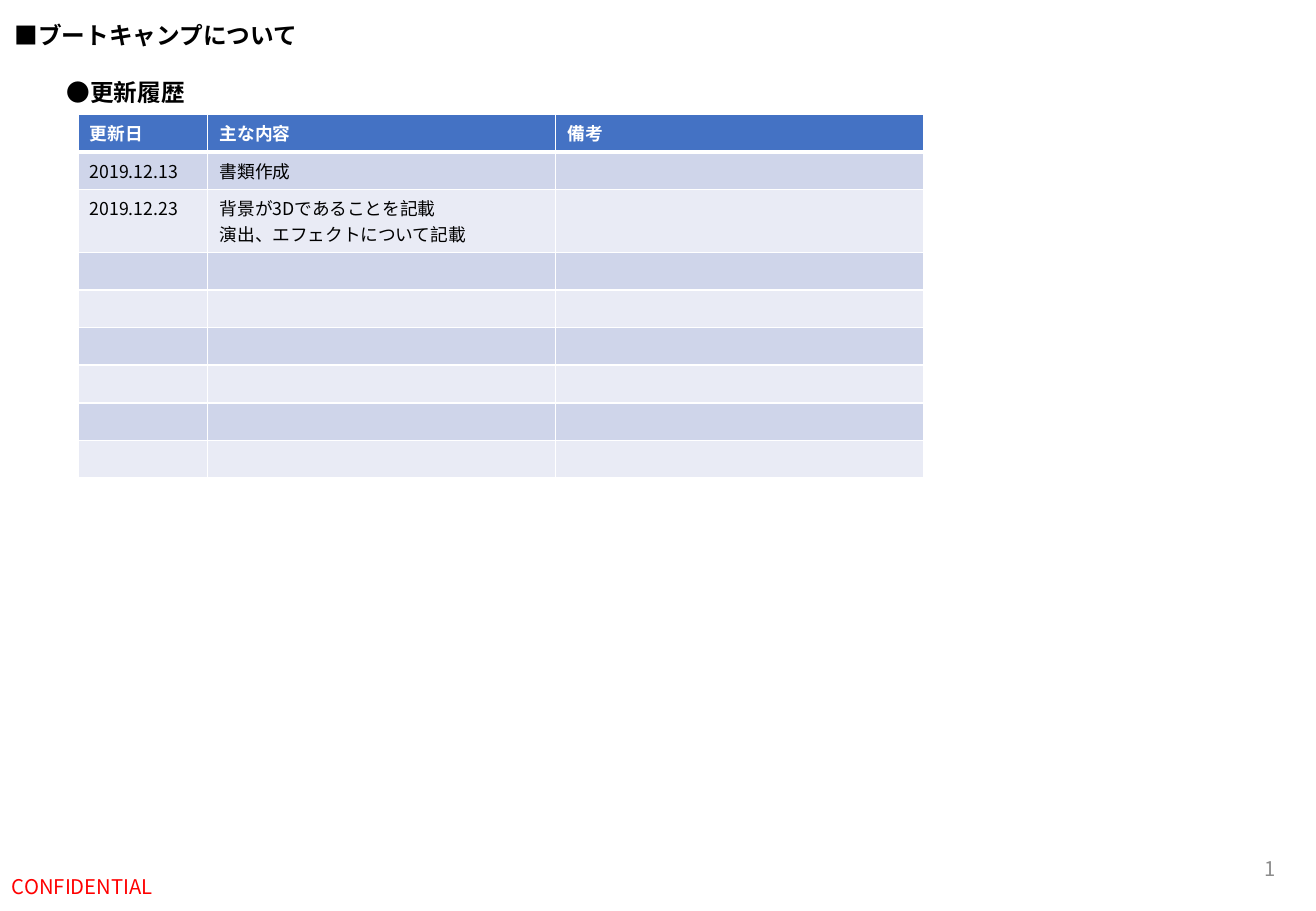
"""Build the boot camp update history slide."""
from lxml.etree import SubElement
from pptx import Presentation
from pptx.dml.color import RGBColor as RGB
from pptx.enum.text import MSO_ANCHOR as ANCHOR, MSO_AUTO_SIZE as AUTO, PP_ALIGN as ALIGN
from pptx.oxml.ns import qn
from pptx.util import Inches, Pt

THEME = {
    "font": "Noto Sans CJK JP",
    "heading": {"size": 14, "bold": True, "color": "000000"},
    "head": {"size": 10.5, "bold": True, "color": "FFFFFF"},
    "body": {"size": 10.5, "bold": False, "color": "000000"},
    "number": {"size": 12, "bold": False, "color": "8C8C8C"},
    "notice": {"size": 12, "bold": False, "color": "FF0000"},
    "head_fill": "4472C4",
    "bands": ("E9EBF5", "CFD5EA"),
    "border": "FFFFFF",
}

prs = Presentation()
prs.slide_width, prs.slide_height = Inches(10.83), Inches(7.5)
s = prs.slides.add_slide(prs.slide_layouts[5])


def share(left, top, width, height):
    """Turn percentages of the slide into lengths."""
    w, h = prs.slide_width, prs.slide_height
    return [round(v * full / 100) for v, full in zip((left, top, width, height), (w, h, w, h))]


def write(p, text, style):
    """Add a run to a paragraph in a theme style."""
    r = p.add_run()
    r.text = text
    fmt = THEME[style]
    for name, value in {"size": Pt(fmt["size"]), "bold": fmt["bold"], "name": THEME["font"]}.items():
        setattr(r.font, name, value)
    r.font.color.rgb = RGB.from_string(fmt["color"])
    SubElement(r.font._element, qn("a:ea"), typeface=THEME["font"])
    return r


ROWS = [
    ("更新日", "主な内容", "備考"),
    ("2019.12.13", "書類作成", ""),
    ("2019.12.23", "背景が3Dであることを記載\n演出、エフェクトについて記載", ""),
] + [("", "", "")] * 6
COL_SHARES = (9.88, 26.41, 27.98)
ROW_SHARE, TALL_ROW_SHARE = 4.13, 6.93
row_shares = [TALL_ROW_SHARE if any("\n" in t for t in row) else ROW_SHARE for row in ROWS]

frame = s.shapes.add_table(len(ROWS), len(COL_SHARES),
                           *share(5.91, 12.53, sum(COL_SHARES), sum(row_shares)))
table = frame.table
for col, width in zip(table.columns, COL_SHARES):
    col.width = share(0, 0, width, 0)[2]
for i, (row, texts) in enumerate(zip(table.rows, ROWS)):
    row.height = share(0, 0, 0, row_shares[i])[3]
    style = "body" if i else "head"
    widths = {"L": 1, "R": 1, "T": 3 if i == 1 else 1, "B": 1 if i else 3}
    for cell, text in zip(row.cells, texts):
        for side, points in widths.items():
            ln = SubElement(cell._tc.get_or_add_tcPr(), qn(f"a:ln{side}"), w=str(Pt(points)))
            SubElement(SubElement(ln, qn("a:solidFill")), qn("a:srgbClr"), val=THEME["border"])
        cell.fill.solid()
        cell.fill.fore_color.rgb = RGB.from_string(THEME["bands"][i % 2] if i else THEME["head_fill"])
        tf = cell.text_frame
        for j, line in enumerate(text.split("\n")):
            p = tf.add_paragraph() if j else tf.paragraphs[0]
            if line:
                write(p, line, style)
            else:
                SubElement(p._p, qn("a:endParaRPr"), sz=str(Pt(THEME[style]["size"]).centipoints))

LABELS = [
    ("■ブートキャンプについて", "heading", (0.18, 1.6, 23.64, 4.53), ALIGN.LEFT),
    ("●更新履歴", "heading", (4.16, 7.87, 10.9, 4.53), ALIGN.LEFT),
    ("1", "number", (75.35, 92.67, 22.53, 5.33), ALIGN.RIGHT),
    ("CONFIDENTIAL", "notice", (0, 94.67, 31.21, 5.33), ALIGN.LEFT),
]
for i, (text, style, box, align) in enumerate(LABELS):
    sp = s.shapes.add_textbox(*share(*box)) if i else s.shapes.title
    sp.left, sp.top, sp.width, sp.height = share(*box)
    tf = sp.text_frame
    heading = style == "heading"
    for name, value in {
        "word_wrap": not heading,
        "auto_size": AUTO.SHAPE_TO_FIT_TEXT if heading else AUTO.NONE,
        "vertical_anchor": ANCHOR.TOP if heading else ANCHOR.MIDDLE,
    }.items():
        setattr(tf, name, value)
    p = tf.paragraphs[0]
    p.alignment = align
    r = write(p, text, style)
    if style == "number":
        r._r.tag = qn("a:fld")
        r._r.set("id", "{B6F15528-21DE-4FAA-801E-634DDDAF4B2B}")
        r._r.set("type", "slidenum")

prs.save("out.pptx")
